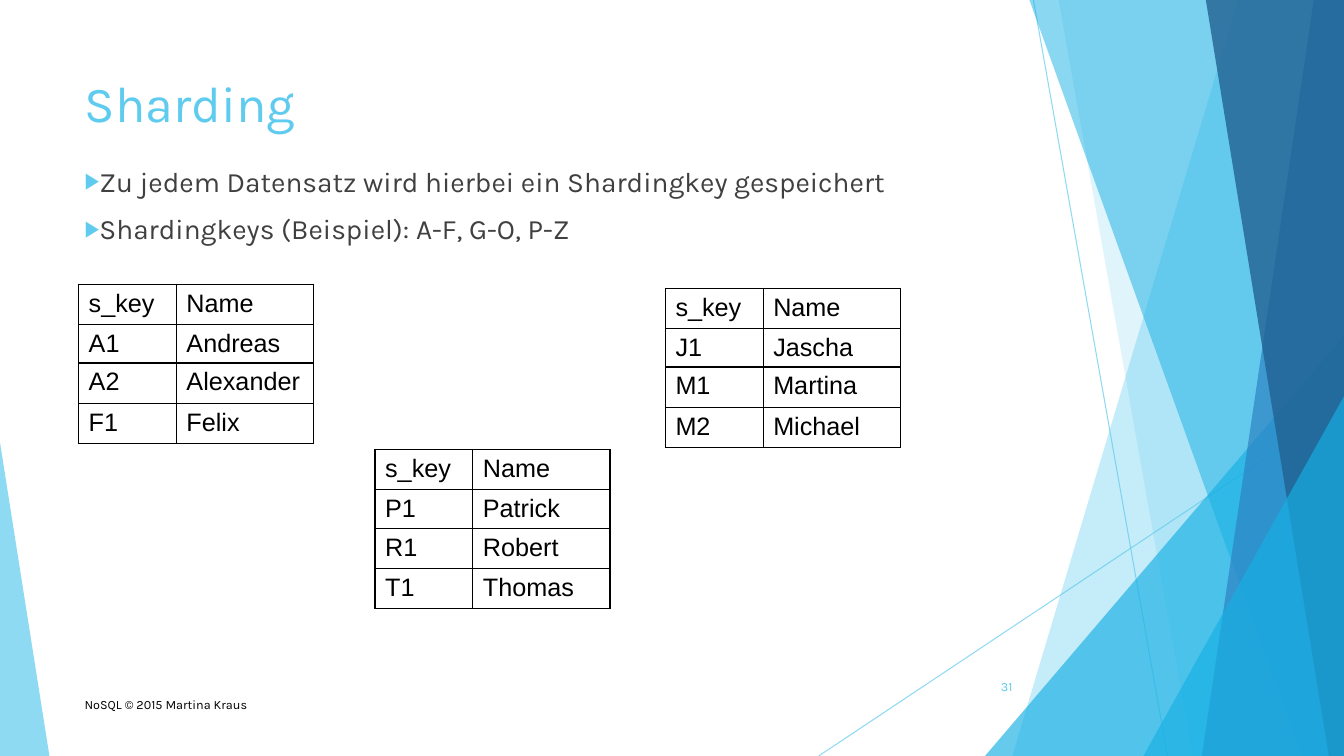
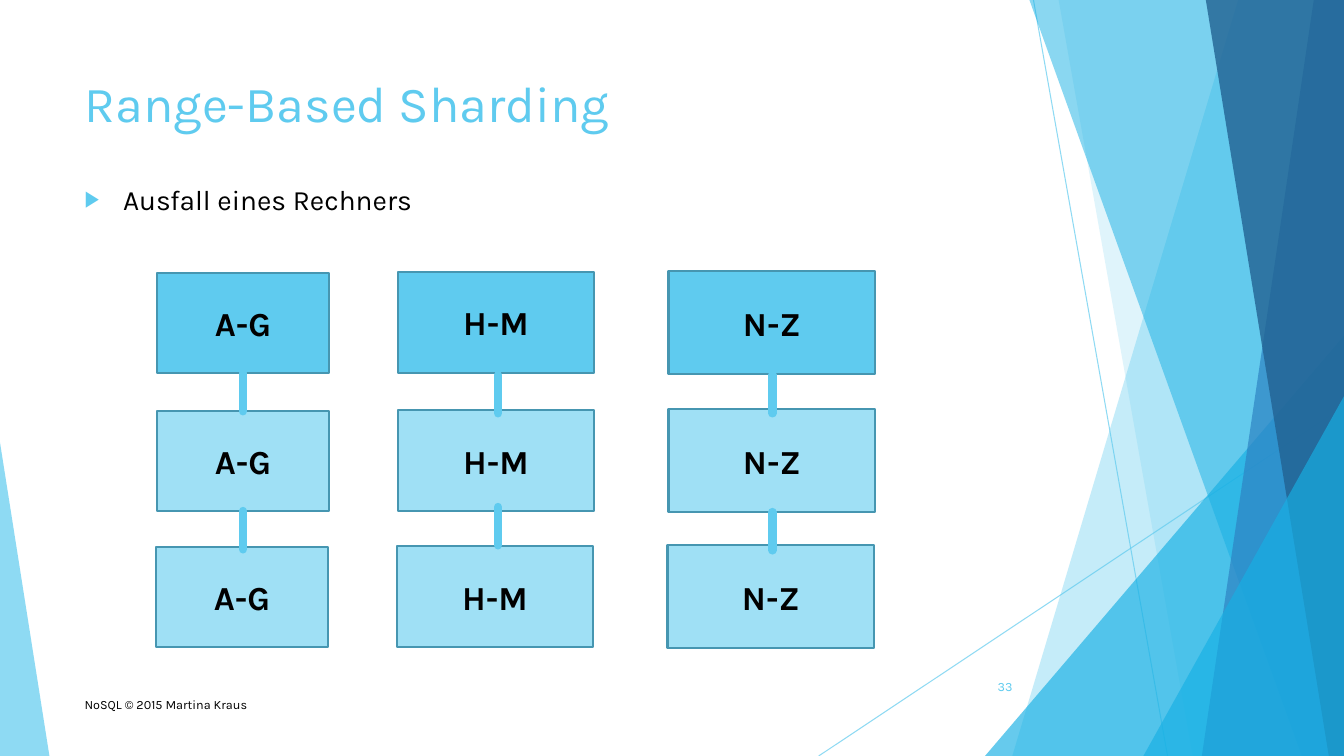
from dataclasses import dataclass

from lxml.etree import SubElement
from pptx import Presentation
from pptx.dml.color import RGBColor
from pptx.enum.shapes import MSO_CONNECTOR as Connector
from pptx.enum.shapes import MSO_SHAPE as Preset
from pptx.enum.text import MSO_ANCHOR as Anchor
from pptx.enum.text import MSO_AUTO_SIZE as AutoSize
from pptx.enum.text import PP_ALIGN as Align
from pptx.oxml.ns import qn
from pptx.slide import Slide, SlideLayout
from pptx.text.text import TextFrame
from pptx.util import Pt

PX = 9144
WIDTH, HEIGHT = 1333, 750
SKY = RGBColor(0x5F, 0xCB, 0xEF)
PALE_SKY = RGBColor(0x9F, 0xE0, 0xF5)
AZURE = RGBColor(0x17, 0xB0, 0xE4)
BLUE = RGBColor(0x2E, 0x83, 0xC3)
NAVY = RGBColor(0x22, 0x62, 0x92)
BORDER = RGBColor(0x46, 0x96, 0xB1)
GREY = RGBColor(0x40, 0x40, 0x40)
BLACK = RGBColor(0x00, 0x00, 0x00)
FONT = "Karla"
TABLE_FONT = "Arial"
FOOTER = "NoSQL © 2015 Martina Kraus"


@dataclass(frozen=True)
class Box:
    left: int
    top: int
    width: int
    height: int

    def emu(self) -> tuple[int, ...]:
        return tuple(n * PX for n in (self.left, self.top, self.width, self.height))


@dataclass(frozen=True)
class Band:
    top_x: int
    bottom_x: int
    color: RGBColor
    opacity: int


@dataclass(frozen=True)
class Triangle:
    box: Box
    apex: float
    color: RGBColor
    opacity: int


@dataclass(frozen=True)
class Shard:
    left: int
    top: int
    rows: tuple[tuple[str, str], ...]


@dataclass(frozen=True)
class Replicas:
    label: str
    left: int
    width: int
    height: int
    link_x: int
    link_tops: tuple[int, int]


BACKDROP_LINES = ((1025, 0, 1158, HEIGHT), (WIDTH, 403, 812, HEIGHT))
BACKDROP = (
    Band(1228, 1004, SKY, 36),
    Band(1050, 1183, SKY, 20),
    Triangle(Box(977, 333, 356, 417), 1, AZURE, 66),
    Band(1021, 1291, AZURE, 50),
    Band(1303, 1192, BLUE, 70),
    Band(1196, 1318, NAVY, 80),
    Triangle(Box(1134, 393, 199, 357), 1, AZURE, 66),
    Triangle(Box(0, 439, 49, 311), 0, SKY, 70),
)
TITLE_BOX = Box(74, 67, 940, 144)
NUMBER_BOX = Box(939, 661, 75, 40)
FOOTER_BOX = Box(74, 686, 689, 40)

TABLE_HEADER = ("s_key", "Name")
COLUMN_WIDTHS = (97, 136)
ROW_HEIGHTS = (40, 38, 40, 40)
SHARDS = (
    Shard(78, 282, (("A1", "Andreas"), ("A2", "Alexander"), ("F1", "Felix"))),
    Shard(660, 286, (("J1", "Jascha"), ("M1", "Martina"), ("M2", "Michael"))),
    Shard(372, 446, (("P1", "Patrick"), ("R1", "Robert"), ("T1", "Thomas"))),
)

REPLICA_CENTERS = (320, 457, 592)
LINK_LENGTH = 38
REPLICAS = (
    Replicas("A-G", 156, 170, 99, 241, (370, 507)),
    Replicas("H-M", 395, 194, 100, 494, (372, 503)),
    Replicas("N-Z", 663, 205, 102, 766, (372, 508)),
)


def write_text(frame: TextFrame, *lines: str, size: int, color: RGBColor,
               font: str = FONT, bold: bool = False, align: Align = Align.LEFT,
               anchor: Anchor = Anchor.TOP, space_before: int = 0) -> None:
    frame.word_wrap = True
    frame.auto_size = AutoSize.NONE
    frame.vertical_anchor = anchor
    for index, line in enumerate(lines):
        paragraph = frame.add_paragraph() if index else frame.paragraphs[0]
        paragraph.alignment = align
        paragraph.space_before = Pt(space_before)
        run = paragraph.add_run()
        run.text = line
        run.font.size = Pt(size)
        run.font.name = font
        run.font.bold = bold
        run.font.color.rgb = color


def add_bullets(frame: TextFrame, indent: int) -> None:
    for paragraph in frame.paragraphs:
        properties = paragraph._p.get_or_add_pPr()
        properties.set("marL", str(indent * PX))
        properties.set("indent", str(-indent * PX))
        color = SubElement(properties, qn("a:buClr"))
        SubElement(color, qn("a:srgbClr"), val=str(SKY))
        SubElement(properties, qn("a:buSzPct"), val="80000")
        SubElement(properties, qn("a:buFont"), typeface=TABLE_FONT)
        SubElement(properties, qn("a:buChar"), char="▶")


def set_opacity(shape, percent: int) -> None:
    for color in shape.element.spPr.iter(qn("a:srgbClr")):
        SubElement(color, qn("a:alpha"), val=str(percent * 1000))


def add_line(shapes, start_x: int, start_y: int, end_x: int, end_y: int, weight: float):
    line = shapes.add_connector(Connector.STRAIGHT, start_x * PX, start_y * PX,
                                end_x * PX, end_y * PX)
    line.line.color.rgb = SKY
    line.line.width = Pt(weight)
    SubElement(line.element.spPr, qn("a:effectLst"))
    return line


def add_backdrop(slide: Slide, layout: SlideLayout) -> None:
    for placeholder in list(layout.placeholders):
        if placeholder.placeholder_format.idx >= 10:
            layout.shapes.element.remove(placeholder.element)
    group = slide.shapes.add_group_shape()
    for ends in BACKDROP_LINES:
        set_opacity(add_line(group.shapes, *ends, weight=0.75), 70)
    for facet in BACKDROP:
        if isinstance(facet, Band):
            builder = group.shapes.build_freeform(facet.top_x, 0, scale=PX)
            builder.add_line_segments(
                [(WIDTH, 0), (WIDTH, HEIGHT), (facet.bottom_x, HEIGHT)], close=True)
            shape = builder.convert_to_shape()
        else:
            shape = group.shapes.add_shape(Preset.ISOSCELES_TRIANGLE, *facet.box.emu())
            shape.adjustments[0] = facet.apex
        shape.shadow.inherit = False
        shape.fill.solid()
        shape.fill.fore_color.rgb = facet.color
        shape.line.fill.background()
        set_opacity(shape, facet.opacity)
    layout.shapes.element.append(group.element)


def place(shape, box: Box) -> TextFrame:
    shape.left, shape.top, shape.width, shape.height = box.emu()
    return shape.text_frame


def fill_slide(slide: Slide, title: str, number: str, bullets: tuple[str, ...],
               body_box: Box, color: RGBColor, indent: int) -> None:
    write_text(place(slide.shapes.title, TITLE_BOX), title, size=36, color=SKY)
    body = place(slide.placeholders[1], body_box)
    write_text(body, *bullets, size=20, color=color, space_before=10)
    add_bullets(body, indent)
    number_box = slide.shapes.add_textbox(*NUMBER_BOX.emu())
    write_text(number_box.text_frame, number, size=9, color=SKY,
               align=Align.RIGHT, anchor=Anchor.MIDDLE)
    footer_box = slide.shapes.add_textbox(*FOOTER_BOX.emu())
    write_text(footer_box.text_frame, FOOTER, size=9, color=BLACK)


def add_shard_table(slide: Slide, shard: Shard) -> None:
    box = Box(shard.left, shard.top, sum(COLUMN_WIDTHS), sum(ROW_HEIGHTS))
    table = slide.shapes.add_table(len(ROW_HEIGHTS), len(COLUMN_WIDTHS), *box.emu()).table
    table.first_row = table.horz_banding = False
    for column, width in zip(table.columns, COLUMN_WIDTHS):
        column.width = width * PX
    for row, height, texts in zip(table.rows, ROW_HEIGHTS, (TABLE_HEADER, *shard.rows)):
        row.height = height * PX
        for cell, text in zip(row.cells, texts):
            write_text(cell.text_frame, text, size=18, color=BLACK, font=TABLE_FONT)
            properties = cell._tc.get_or_add_tcPr()
            for side in ("a:lnL", "a:lnR", "a:lnT", "a:lnB"):
                border = SubElement(properties, qn(side), w=str(Pt(1)))
                fill = SubElement(border, qn("a:solidFill"))
                SubElement(fill, qn("a:srgbClr"), val=str(BLACK))
            cell.fill.background()


def add_replicas(slide: Slide, replicas: Replicas) -> None:
    for index, center in enumerate(REPLICA_CENTERS):
        left = replicas.left - index // 2
        box = Box(left, center - replicas.height // 2, replicas.width, replicas.height)
        shape = slide.shapes.add_shape(Preset.RECTANGLE, *box.emu())
        shape.shadow.inherit = False
        shape.fill.solid()
        shape.fill.fore_color.rgb = PALE_SKY if index else SKY
        shape.line.color.rgb = BORDER
        shape.line.width = Pt(1.5)
        write_text(shape.text_frame, replicas.label, size=24, color=BLACK, bold=True,
                   align=Align.CENTER, anchor=Anchor.MIDDLE)
    for top in replicas.link_tops:
        link = add_line(slide.shapes, replicas.link_x, top, replicas.link_x,
                        top + LINK_LENGTH, weight=6)
        link.element.spPr.find(qn("a:ln")).set("cap", "rnd")


def main() -> None:
    presentation = Presentation()
    presentation.slide_width, presentation.slide_height = WIDTH * PX, HEIGHT * PX
    layout = presentation.slide_layouts[1]

    sharding = presentation.slides.add_slide(layout)
    add_backdrop(sharding, layout)
    fill_slide(sharding, "Sharding", "31",
               ("Zu jedem Datensatz wird hierbei ein Shardingkey gespeichert",
                "Shardingkeys (Beispiel): A-F, G-O, P-Z"),
               Box(74, 158, 940, 456), GREY, indent=0)
    for shard in SHARDS:
        add_shard_table(sharding, shard)

    range_based = presentation.slides.add_slide(layout)
    fill_slide(range_based, "Range-Based Sharding", "33", ("Ausfall eines Rechners",),
               Box(74, 176, 940, 59), BLACK, indent=38)
    for replicas in REPLICAS:
        add_replicas(range_based, replicas)

    presentation.save("out.pptx")


if __name__ == "__main__":
    main()
